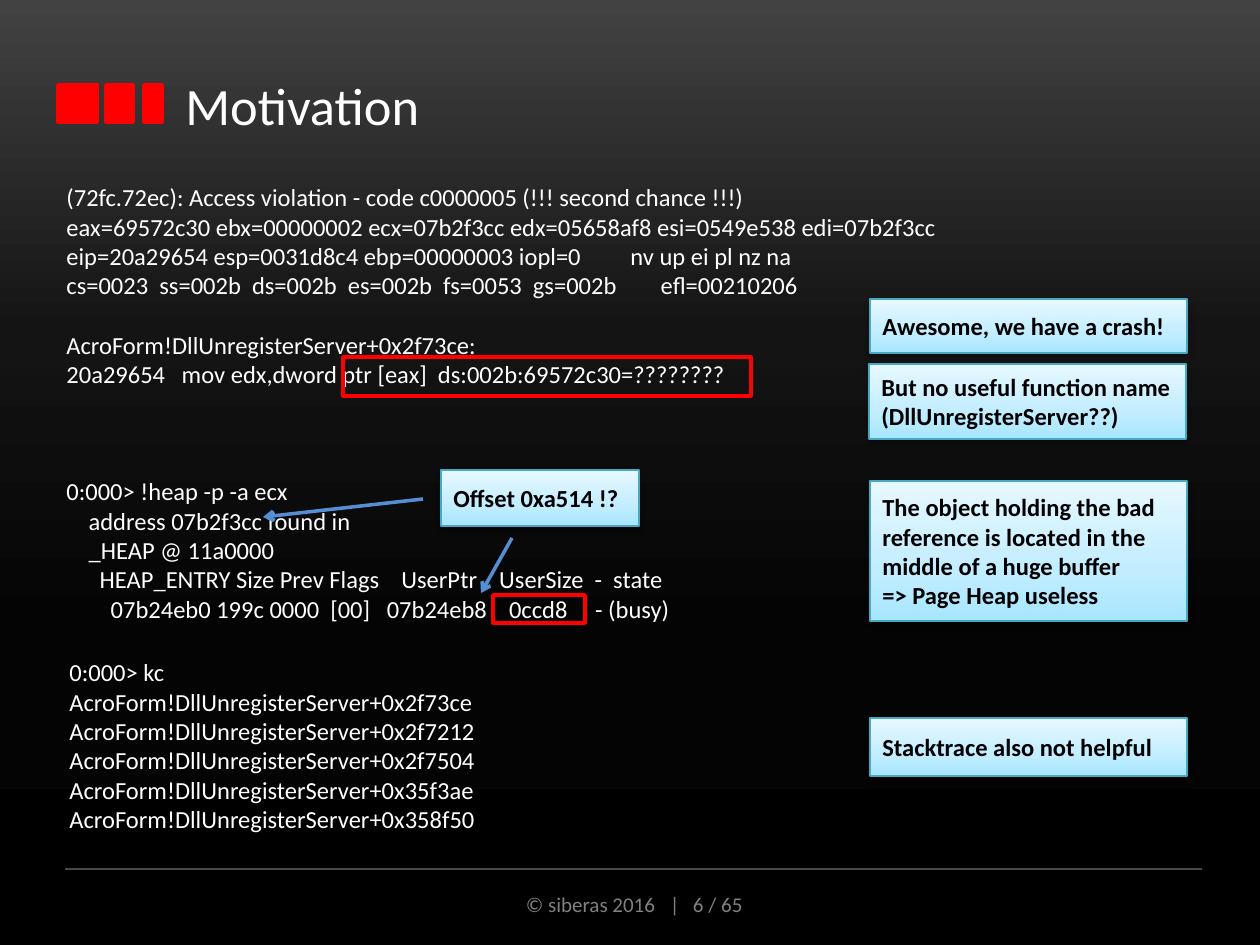
"""Build the Motivation slide with its crash log, callouts and markers."""
import dataclasses

import lxml.etree
import pptx
import pptx.dml.color
import pptx.enum.shapes
import pptx.enum.text
import pptx.oxml.ns
import pptx.util

SCALE = 914400 / 126


@dataclasses.dataclass(frozen=True)
class Theme:
    font: str = "Calibri"
    white: str = "FFFFFF"
    black: str = "000000"
    grey: str = "808080"
    rule: str = "484848"
    red: str = "FF0000"
    blue: str = "558ED5"
    edge: str = "46AAC5"
    back: tuple = ((0, "424242"), (35, "141414"), (67, "040404"), (100, "000000"))
    note: tuple = ((0, "A7E6FF"), (35, "C1EDFF"), (100, "E7F8FF"))
    title: int = 30
    body: int = 14
    foot: int = 12


def emu(px):
    return pptx.util.Emu(round(px * SCALE))


def color(code):
    return pptx.dml.color.RGBColor.from_string(code)


def child(node, tag, **attrs):
    return lxml.etree.SubElement(node, pptx.oxml.ns.qn(tag), attrs)


class Deck:
    def __init__(self, theme):
        self.theme = theme
        self.show = pptx.Presentation()
        self.show.slide_width, self.show.slide_height = emu(1260), emu(945)
        self.slide = self.show.slides.add_slide(self.show.slide_layouts[6])
        self.shade(self.slide.background.fill, self.slide.element, theme.back, 270)

    def shade(self, fill, root, stops, angle):
        fill.gradient()
        fill.gradient_angle = angle
        group = next(root.iter(pptx.oxml.ns.qn("a:gsLst")))
        for old in list(group):
            group.remove(old)
        for pos, code in stops:
            stop = child(group, "a:gs", pos=str(pos * 1000))
            child(stop, "a:srgbClr", val=code)

    def type(self, frame, lines, size, ink, bold=False, gaps=None, tabs=()):
        frame.word_wrap = True
        for row, line in enumerate(lines):
            para = frame.paragraphs[0] if row == 0 else frame.add_paragraph()
            para.alignment = pptx.enum.text.PP_ALIGN.LEFT
            if gaps and row in gaps:
                para.space_before = pptx.util.Pt(gaps[row])
            if tabs:
                stops = child(para._p.get_or_add_pPr(), "a:tabLst")
                for tab in tabs:
                    child(stops, "a:tab", pos=str(emu(tab)), algn="l")
            run = para.add_run()
            run.text = line
            run.font.name = self.theme.font
            run.font.size = pptx.util.Pt(size)
            run.font.bold = bold
            run.font.color.rgb = color(ink)

    def text(self, box, lines, size, ink, middle=False, flush=False, **style):
        frame = self.slide.shapes.add_textbox(*map(emu, box)).text_frame
        if middle:
            frame.vertical_anchor = pptx.enum.text.MSO_ANCHOR.MIDDLE
        if flush:
            frame.margin_left = frame.margin_right = 0
        self.type(frame, lines, size, ink, **style)

    def rect(self, box, edge, width, fill=None):
        kind = pptx.enum.shapes.MSO_SHAPE.RECTANGLE
        shape = self.slide.shapes.add_shape(kind, *map(emu, box))
        shape.shadow.inherit = False
        shape.line.color.rgb = color(edge)
        shape.line.width = pptx.util.Pt(width)
        if fill:
            shape.fill.solid()
            shape.fill.fore_color.rgb = color(fill)
        else:
            shape.fill.background()
        return shape

    def note(self, box, lines):
        shape = self.rect(box, self.theme.edge, 0.75)
        self.shade(shape.fill, shape.element, self.theme.note, 90)
        group = next(shape.element.iter(pptx.oxml.ns.qn("a:effectLst")))
        shadow = child(group, "a:outerShdw", blurRad="40000", dist="20000",
                       dir="5400000", rotWithShape="0")
        tint = child(shadow, "a:srgbClr", val=self.theme.black)
        child(tint, "a:alpha", val="38000")
        shape.text_frame.vertical_anchor = pptx.enum.text.MSO_ANCHOR.MIDDLE
        self.type(shape.text_frame, lines, self.theme.body, self.theme.black, bold=True)

    def line(self, ends, ink, width, arrow=False):
        kind = pptx.enum.shapes.MSO_CONNECTOR.STRAIGHT
        wire = self.slide.shapes.add_connector(kind, *map(emu, ends))
        wire.line.color.rgb = color(ink)
        wire.line.width = pptx.util.Pt(width)
        props = wire.element.spPr
        if arrow:
            child(props.find(pptx.oxml.ns.qn("a:ln")), "a:tailEnd", type="arrow")
        child(props, "a:effectLst")

    def save(self):
        self.show.save("out.pptx")


CRASH = [
    "(72fc.72ec): Access violation - code c0000005 (!!! second chance !!!)",
    "eax=69572c30 ebx=00000002 ecx=07b2f3cc edx=05658af8 esi=0549e538 edi=07b2f3cc",
    "eip=20a29654 esp=0031d8c4 ebp=00000003 iopl=0         nv up ei pl nz na",
    "cs=0023  ss=002b  ds=002b  es=002b  fs=0053  gs=002b        efl=00210206",
    "AcroForm!DllUnregisterServer+0x2f73ce:",
    "20a29654   mov edx,dword ptr [eax]  ds:002b:69572c30=????????",
]
HEAP = [
    "0:000> !heap -p -a ecx",
    "    address 07b2f3cc found in",
    "    _HEAP @ 11a0000",
    "      HEAP_ENTRY Size Prev Flags    UserPtr    UserSize  -  state",
    "        07b24eb0 199c 0000  [00]   07b24eb8    0ccd8     - (busy)",
]
CALLS = ["2f73ce", "2f7212", "2f7504", "35f3ae", "358f50"]
STACK = ["0:000> kc"] + [f"AcroForm!DllUnregisterServer+0x{call}" for call in CALLS]
NOTES = [
    ((870, 299, 317, 54), ["Awesome, we have a crash!"]),
    ((869, 364, 317, 75), ["But no useful function name (DllUnregisterServer??)"]),
    ((870, 481, 317, 140), [
        "The object holding the bad reference is located in the middle of a huge buffer",
        "=> Page Heap useless"]),
    ((870, 718, 317, 58), ["Stacktrace also not helpful"]),
    ((441, 470, 198, 56), ["Offset 0xa514 !?"]),
]


def main():
    theme = Theme()
    deck = Deck(theme)
    for left, width in ((58, 39), (106, 27), (144, 18)):
        deck.rect((left, 85, width, 37), theme.red, 2, theme.red)
    deck.line((65, 869, 1202, 869), theme.rule, 0.75)
    deck.text((526, 885, 240, 38), ["© siberas 2016\t|\t6 / 65"], theme.foot,
              theme.grey, flush=True, tabs=(144, 167))
    deck.text((54, 470, 1201, 190), HEAP, theme.body, theme.white)
    deck.text((54, 176, 1201, 221), CRASH, theme.body, theme.white, gaps={4: 17})
    deck.text((173, 49, 1019, 110), ["Motivation"], theme.title, theme.white, middle=True)
    for box, lines in NOTES:
        deck.note(box, lines)
    for ends in ((423, 499, 263, 517), (512, 538, 481, 593)):
        deck.line(ends, theme.blue, 2, arrow=True)
    for box in ((343, 357, 408, 39), (493, 595, 92, 28)):
        deck.rect(box, theme.red, 2)
    deck.text((57, 651, 1201, 190), STACK, theme.body, theme.white)
    deck.save()


if __name__ == "__main__":
    main()
